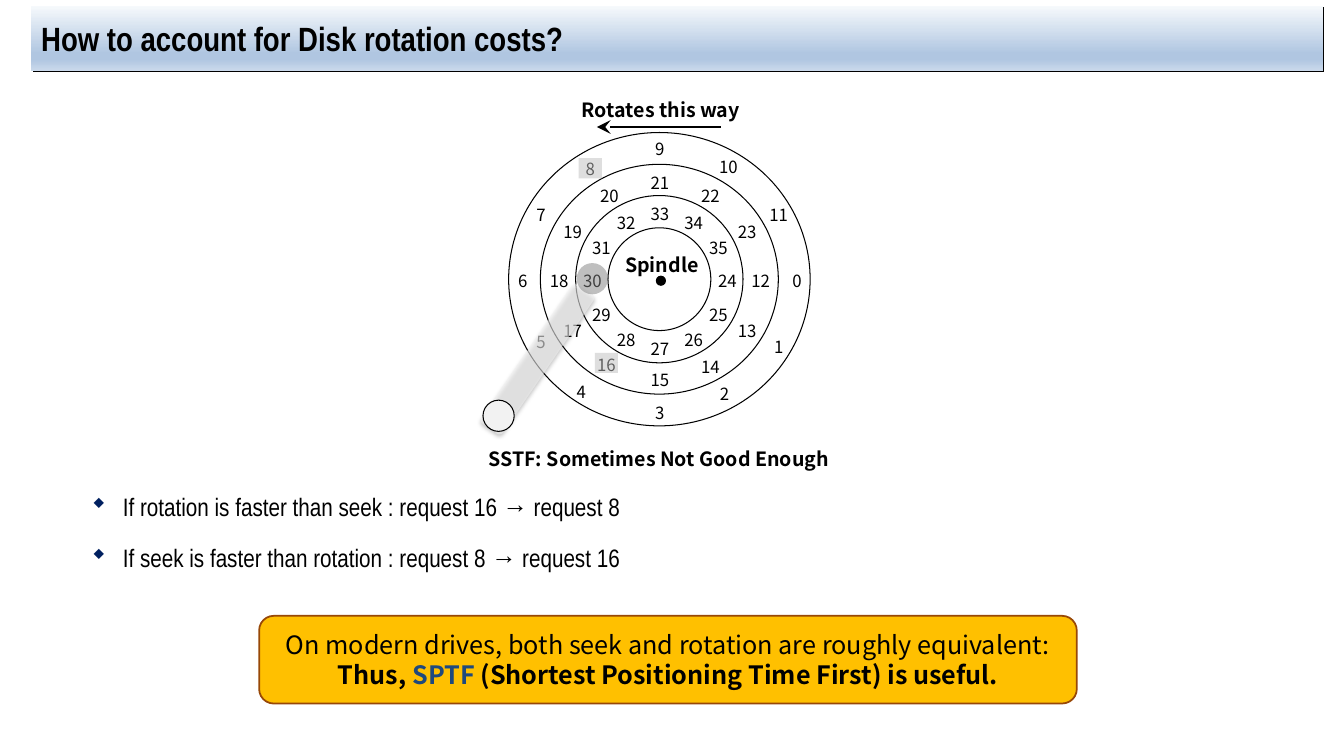
from math import cos, radians, sin

from lxml import etree
from pptx import Presentation
from pptx.dml.color import RGBColor
from pptx.enum import shapes, text
from pptx.oxml import ns
from pptx.util import Inches, Pt

BLACK = RGBColor(0x00, 0x00, 0x00)
PALE = RGBColor(0xF2, 0xF2, 0xF2)
SILVER = RGBColor(0xBF, 0xBF, 0xBF)
GRAY = RGBColor(0x80, 0x80, 0x80)
NAVY = RGBColor(0x00, 0x20, 0x60)
BLUE = RGBColor(0x1F, 0x49, 0x7D)
GOLD = RGBColor(0xFF, 0xC0, 0x00)
BROWN = RGBColor(0x98, 0x48, 0x07)
BANNER_STOPS = [
    (0, RGBColor(0xF6, 0xF9, 0xFC)),
    (74, RGBColor(0xB0, 0xC6, 0xE1)),
    (83, RGBColor(0xB0, 0xC6, 0xE1)),
    (100, RGBColor(0xCA, 0xD9, 0xEB)),
]
NARROW = "Arial Narrow"
SANS = "Noto Sans CJK KR"
KIND = shapes.MSO_SHAPE

RINGS = [(1.02, 1.02), (1.66, 1.66), (2.36, 2.28), (2.99, 2.91)]
TRACKS = [(1.36, 1.31), (1.0, 0.98), (0.67, 0.67)]
SECTORS = 12
NUDGES = {2: (-0.04, -0.02), 4: (-0.1, -0.04), 5: (0, -0.05), 8: (-0.01, 0.02), 16: (-0.03, -0.02)}


def child(parent, tag, **attributes):
    element = etree.SubElement(parent, ns.qn(tag))
    for name, value in attributes.items():
        element.set(name, str(value))
    return element


def add_color(parent, color, alpha=100):
    node = child(parent, "a:srgbClr", val=color)
    if alpha < 100:
        child(node, "a:alpha", val=alpha * 1000)


def add_shape(page, kind, left, top, width, height, fill=None, alpha=100, line=None, weight=0.75):
    shape = page.shapes.add_shape(kind, Inches(left), Inches(top), Inches(width), Inches(height))
    shape.shadow.inherit = False
    if fill is None:
        shape.fill.background()
    else:
        shape.fill.solid()
        shape.fill.fore_color.rgb = fill
        if alpha < 100:
            color = shape.fill._xPr.find(ns.qn("a:solidFill"))[0]
            child(color, "a:alpha", val=alpha * 1000)
    if line is None:
        shape.line.fill.background()
    else:
        shape.line.color.rgb = line
        shape.line.width = Pt(weight)
    return shape


def add_shadow(shape, alpha, blur, distance, angle):
    effects = shape._element.spPr.find(ns.qn("a:effectLst"))
    shadow = child(effects, "a:outerShdw", blurRad=Pt(blur), dist=Pt(distance),
                   dir=angle * 60000, algn="ctr", rotWithShape=0)
    add_color(shadow, BLACK, alpha)


def style(span, size, font, color=BLACK, bold=False):
    span.font.size = Pt(size)
    span.font.name = font
    span.font.color.rgb = color
    span.font.bold = bold


def add_label(page, words, left, top, width, height, size, bold=False, inset=0.1):
    box = page.shapes.add_textbox(Inches(left), Inches(top), Inches(width), Inches(height))
    frame = box.text_frame
    frame.word_wrap = True
    frame.margin_left = frame.margin_right = Inches(inset)
    frame.text = words
    para = frame.paragraphs[0]
    para.alignment = text.PP_ALIGN.CENTER
    style(para.runs[0], size, SANS, bold=bold)


def add_banner(page, words):
    banner = add_shape(page, KIND.RECTANGLE, 0.31, 0.06, 12.81, 0.64)
    banner.fill.gradient()
    banner.fill.gradient_angle = 270
    stops = banner.fill._xPr.find(ns.qn("a:gradFill")).find(ns.qn("a:gsLst"))
    for stop in list(stops):
        stops.remove(stop)
    for position, color in BANNER_STOPS:
        add_color(child(stops, "a:gs", pos=position * 1000), color)
    add_shadow(banner, 100, 0, 1.4, 45)
    frame = banner.text_frame
    frame.vertical_anchor = text.MSO_ANCHOR.MIDDLE
    frame.text = words
    frame.paragraphs[0].alignment = text.PP_ALIGN.LEFT
    style(frame.paragraphs[0].runs[0], 24, NARROW, bold=True)


def add_disk(page, center_x, center_y):
    for width, height in RINGS:
        add_shape(page, KIND.OVAL, center_x - width / 2, center_y - height / 2,
                  width, height, line=BLACK)
    for track, (radius_x, radius_y) in enumerate(TRACKS):
        for sector in range(SECTORS):
            number = track * SECTORS + sector
            angle = radians(sector * 360 / SECTORS)
            shift_x, shift_y = NUDGES.get(number, (0, 0))
            add_label(page, str(number),
                      center_x + radius_x * cos(angle) + shift_x - 0.19,
                      center_y + radius_y * sin(angle) + shift_y - 0.13,
                      0.39, 0.3, 12, inset=0)
    add_shape(page, KIND.OVAL, 6.51, 2.74, 0.09, 0.09, fill=BLACK, line=BLACK)
    add_label(page, "Spindle", 6.08, 2.46, 0.97, 0.34, 14, bold=True)


def add_arrow(page, start_x, end_x, level):
    arrow = page.shapes.add_connector(shapes.MSO_CONNECTOR.STRAIGHT, Inches(start_x),
                                      Inches(level), Inches(end_x), Inches(level))
    arrow.line.color.rgb = BLACK
    arrow.line.width = Pt(1.5)
    child(arrow.line._get_or_add_ln(), "a:tailEnd", type="stealth", w="lg", len="lg")
    child(arrow._element.spPr, "a:effectLst")


def add_arm(page):
    arm = add_shape(page, KIND.ROUNDED_RECTANGLE, 5.2, 2.73, 0.26, 1.67, fill=PALE, alpha=58)
    arm.rotation = 34.4
    add_shadow(arm, 38, 3.1, 1.6, 90)
    add_shape(page, KIND.OVAL, 5.72, 2.61, 0.31, 0.31, fill=GRAY, alpha=50)
    add_shape(page, KIND.OVAL, 4.79, 3.97, 0.31, 0.31, fill=PALE, line=BLACK)


def add_bullets(page, lines):
    box = page.shapes.add_textbox(Inches(0.31), Inches(4.68), Inches(12.81), Inches(1.2))
    frame = box.text_frame
    frame.word_wrap = True
    frame.text = "\n".join(lines)
    for index, para in enumerate(frame.paragraphs):
        para.line_spacing = 1.5
        para.space_before = Pt(4 if index else 0)
        properties = para._p.get_or_add_pPr()
        properties.set("marL", str(Inches(0.81)))
        properties.set("indent", str(Inches(-0.31)))
        add_color(child(properties, "a:buClr"), NAVY)
        child(properties, "a:buFont", typeface="Wingdings", pitchFamily=2, charset=2)
        child(properties, "a:buChar", char="w")
        style(para.runs[0], 18, NARROW)


def add_callout(page):
    callout = add_shape(page, KIND.ROUNDED_RECTANGLE, 2.57, 6.11, 8.11, 0.87,
                        fill=GOLD, line=BROWN, weight=1.25)
    frame = callout.text_frame
    frame.margin_left = frame.margin_right = Inches(0.12)
    frame.vertical_anchor = text.MSO_ANCHOR.MIDDLE
    frame.text = "On modern drives, both seek and rotation are roughly equivalent:"
    style(frame.paragraphs[0].runs[0], 18, SANS)
    conclusion = frame.add_paragraph()
    for words, color in [("Thus, ", BLACK), ("SPTF", BLUE),
                         (" (Shortest Positioning Time First) is useful.", BLACK)]:
        span = conclusion.add_run()
        span.text = words
        style(span, 18, SANS, color, bold=True)
    for para in frame.paragraphs:
        para.alignment = text.PP_ALIGN.CENTER


def main():
    deck = Presentation()
    deck.slide_width = Inches(13.33)
    deck.slide_height = Inches(7.5)
    page = deck.slides.add_slide(deck.slide_layouts[6])
    add_banner(page, "How to account for Disk rotation costs?")
    add_bullets(page, ["If rotation is faster than seek : request 16 → request 8",
                       "If seek is faster than rotation : request 8 → request 16"])
    add_disk(page, 6.54, 2.77)
    add_label(page, "Rotates this way", 5.57, 0.92, 1.97, 0.34, 14, bold=True)
    add_arrow(page, 7.15, 5.92, 1.26)
    add_arm(page)
    add_label(page, "SSTF: Sometimes Not Good Enough", 4.44, 4.38, 4.19, 0.34, 14, bold=True)
    for left, top in [(5.9, 3.5), (5.74, 1.57)]:
        add_shape(page, KIND.RECTANGLE, left, top, 0.23, 0.2, fill=SILVER, alpha=50)
    add_callout(page)
    deck.save("out.pptx")


if __name__ == "__main__":
    main()
